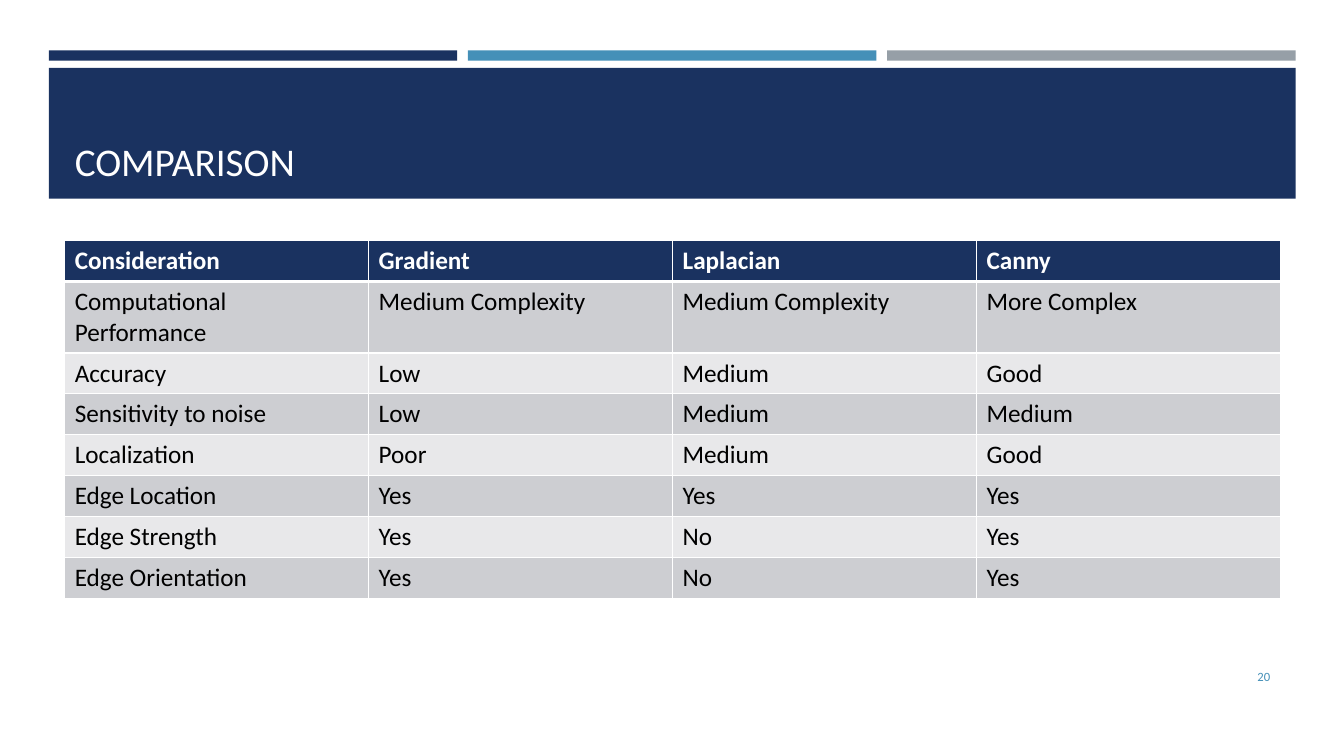
from lxml.etree import SubElement
from pptx import Presentation
from pptx.dml.color import RGBColor
from pptx.enum.shapes import MSO_SHAPE
from pptx.enum.text import MSO_ANCHOR, PP_ALIGN
from pptx.oxml.ns import qn
from pptx.util import Cm, Pt

NAVY = RGBColor(0x1A, 0x32, 0x60)
BLUE = RGBColor(0x45, 0x90, 0xB8)
GREY = RGBColor(0x96, 0x9F, 0xA7)
DARK_BAND = RGBColor(0xCD, 0xCE, 0xD2)
LIGHT_BAND = RGBColor(0xE8, 0xE8, 0xEA)
WHITE = RGBColor(0xFF, 0xFF, 0xFF)
BLACK = RGBColor(0x00, 0x00, 0x00)

COMPARISON = [
    ("Consideration", "Gradient", "Laplacian", "Canny"),
    ("Computational Performance", "Medium Complexity", "Medium Complexity", "More Complex"),
    ("Accuracy", "Low", "Medium", "Good"),
    ("Sensitivity to noise", "Low", "Medium", "Medium"),
    ("Localization", "Poor", "Medium", "Good"),
    ("Edge Location", "Yes", "Yes", "Yes"),
    ("Edge Strength", "Yes", "No", "Yes"),
    ("Edge Orientation", "Yes", "No", "Yes"),
]


def write(tf, text, size=18, color=BLACK, bold=False, align=PP_ALIGN.LEFT, anchor=None):
    """Put one formatted paragraph into a text frame."""
    tf.word_wrap = True
    if anchor is not None:
        tf.vertical_anchor = anchor
    p = tf.paragraphs[0]
    p.alignment = align
    r = p.add_run()
    r.text = text
    r.font.name = "Calibri"
    r.font.size = Pt(size)
    r.font.bold = bold
    r.font.color.rgb = color


def add_block(s, left, top, width, height, color):
    """Add a plain filled rectangle."""
    sp = s.shapes.add_shape(MSO_SHAPE.RECTANGLE, Cm(left), Cm(top), Cm(width), Cm(height))
    sp.shadow.inherit = False
    sp.fill.solid()
    sp.fill.fore_color.rgb = color
    sp.line.fill.background()


def set_borders(cell, bottom=1):
    """Draw white borders round a cell, before its fill in the XML."""
    tcPr = cell._tc.get_or_add_tcPr()
    for side in "LRTB":
        width = Pt(bottom if side == "B" else 1)
        ln = SubElement(tcPr, qn(f"a:ln{side}"), w=str(width))
        fill = SubElement(ln, qn("a:solidFill"))
        SubElement(fill, qn("a:srgbClr"), val=str(WHITE))


def add_header(s, left, top, width, height):
    """Place three accent bars over the title band."""
    gap, bar_height, band_offset = 0.27, 0.26, 0.44
    bar = (width - 2 * gap) / 3
    for i, color in enumerate((NAVY, BLUE, GREY)):
        add_block(s, left + i * (bar + gap), top, bar, bar_height, color)
    add_block(s, left, top + band_offset, width, height - band_offset, NAVY)
    title = s.shapes.title
    title.element.getparent().append(title.element)
    title.left, title.top = Cm(left + 0.4), Cm(top + 0.69)
    title.width, title.height = Cm(width - 0.8), Cm(2.82)
    write(title.text_frame, "COMPARISON", size=28, color=WHITE, anchor=MSO_ANCHOR.BOTTOM)


def add_comparison(s, left, top, width, row_height):
    """Place the comparison table with a header and banded rows."""
    rows, cols = len(COMPARISON), len(COMPARISON[0])
    table = s.shapes.add_table(
        rows, cols, Cm(left), Cm(top), Cm(width), Cm(rows * row_height)).table
    for i, values in enumerate(COMPARISON):
        table.rows[i].height = Cm(row_height)
        header = i == 0
        color = NAVY if header else DARK_BAND if i % 2 else LIGHT_BAND
        for j, text in enumerate(values):
            cell = table.cell(i, j)
            set_borders(cell, bottom=3 if header else 1)
            cell.fill.solid()
            cell.fill.fore_color.rgb = color
            write(cell.text_frame, text, color=WHITE if header else BLACK, bold=header)


def add_number(s, left, top, width, height):
    """Place the slide number."""
    tb = s.shapes.add_textbox(Cm(left), Cm(top), Cm(width), Cm(height))
    write(tb.text_frame, "20", size=9, color=BLUE, align=PP_ALIGN.RIGHT,
          anchor=MSO_ANCHOR.MIDDLE)


def main():
    """Build and save the slide."""
    prs = Presentation()
    prs.slide_width, prs.slide_height = Cm(33.87), Cm(19.05)
    s = prs.slides.add_slide(prs.slide_layouts[5])
    add_header(s, 1.23, 1.27, 31.42, 3.74)
    add_comparison(s, 1.63, 6.06, 30.64, 1.03)
    add_number(s, 29.34, 16.54, 2.92, 1.02)
    prs.save("out.pptx")


if __name__ == "__main__":
    main()
